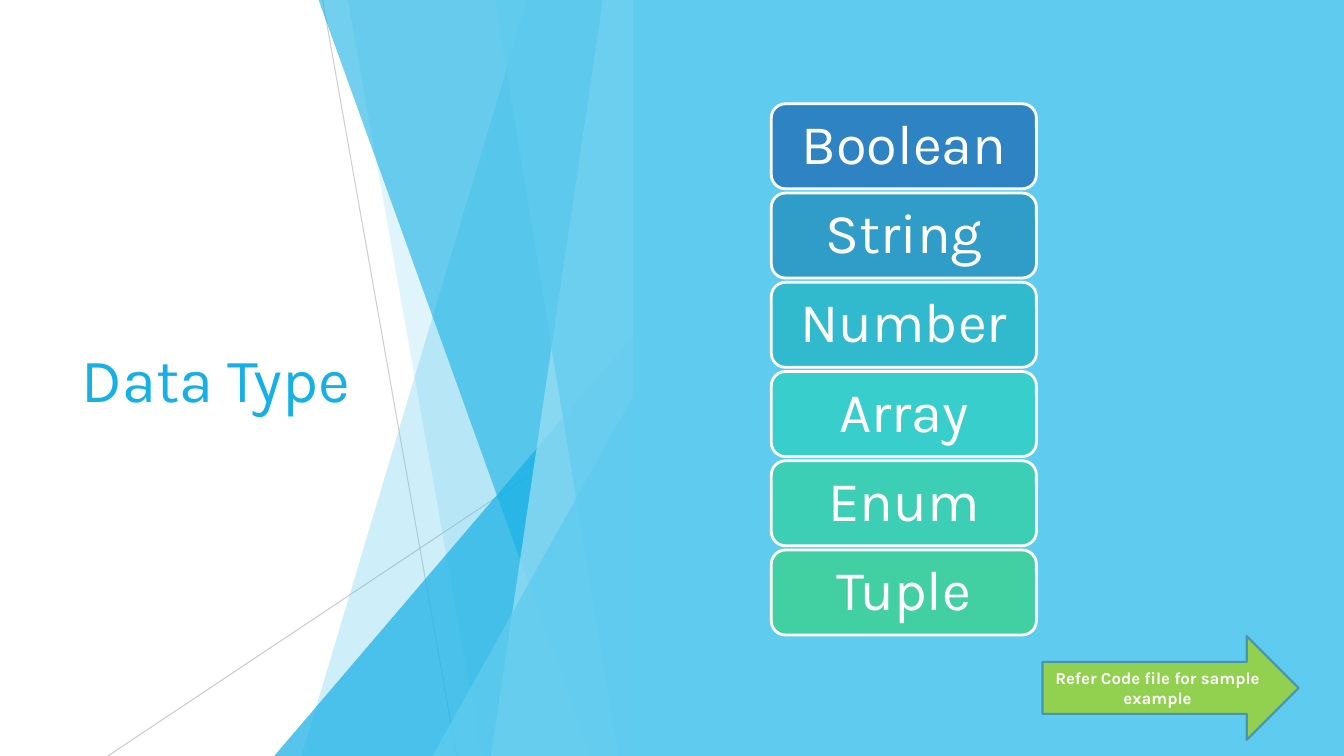
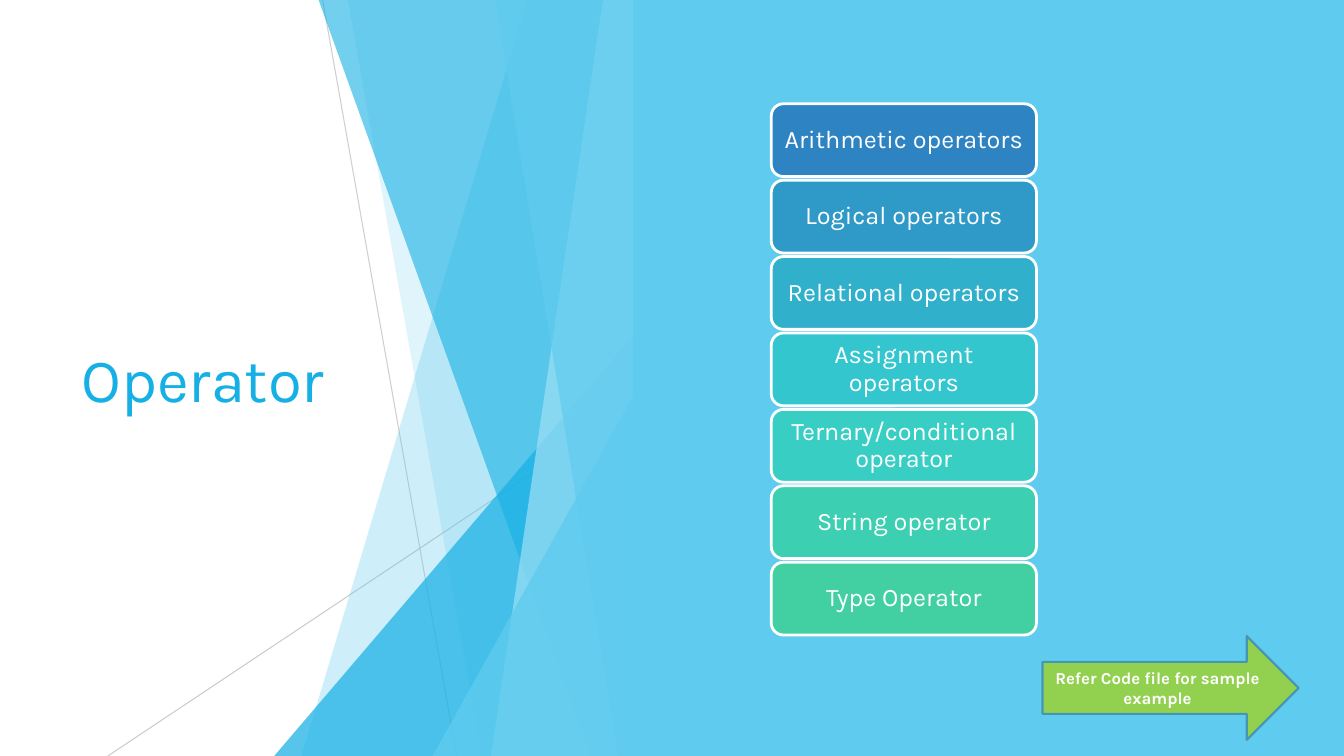
from pptx import Presentation
from pptx.dml.color import RGBColor
from pptx.enum.shapes import MSO_CONNECTOR, MSO_SHAPE
from pptx.enum.text import MSO_ANCHOR, PP_ALIGN
from pptx.oxml.ns import qn
from pptx.oxml.xmlchemy import OxmlElement
from pptx.util import Inches, Pt

RECT = MSO_SHAPE.RECTANGLE
ROUNDED = MSO_SHAPE.ROUNDED_RECTANGLE
TRIANGLE = MSO_SHAPE.ISOSCELES_TRIANGLE
ARROW = MSO_SHAPE.RIGHT_ARROW
STRAIGHT = MSO_CONNECTOR.STRAIGHT
LEFT, CENTER = PP_ALIGN.LEFT, PP_ALIGN.CENTER
MIDDLE = MSO_ANCHOR.MIDDLE

FONT = "Karla"
COLORS = {
    "white": "FFFFFF",
    "sky": "5FCBEF",
    "blue": "17B0E4",
    "pale": "9FE0F5",
    "gray": "BFBFBF",
    "green": "92D050",
    "arrow_line": "4696B1",
}

WIDTH, HEIGHT = 13.33, 7.5
PANEL_X = 6.28  # left edge of the blue panel, where every facet ends

# start, end, opacity in percent
HAIRLINES = [
    ((3.2, 0), (4.53, HEIGHT), 75),
    ((PANEL_X, 4.03), (1.07, HEIGHT), 80),
]
# x at the top, y at the top, x at the bottom, colour, opacity in percent
FACETS = [
    (5.23, 0, 2.99, "sky", 30),
    (3.45, 0, 4.78, "sky", 20),
    (PANEL_X, 3.33, 2.72, "blue", 72),
    (3.16, 0, 5.86, "blue", 60),
    (5.98, 0, 4.87, "pale", 70),
    (4.91, 0, 6.13, "sky", 65),
    (PANEL_X, 3.93, 4.29, "sky", 80),
]

STACK_X, STACK_W = 7.65, 2.63
STACK_TOP, STACK_BOTTOM = 1.03, 6.3
GAP_RATIO = 0.05  # gap between boxes as a share of box height

SLIDES = [
    {
        "title": "Data Type", "size": 40, "insets": (0.17, 0.08),
        "boxes": [
            ("Boolean", "2E83C3"),
            ("String", "309DC8"),
            ("Number", "31B9CD"),
            ("Array", "37CECB"),
            ("Enum", "3CCFB6"),
            ("Tuple", "42D0A2"),
        ],
    },
    {
        "title": "Operator", "size": 18, "insets": (0.07, 0.04),
        "boxes": [
            ("Arithmetic operators", "2E83C3"),
            ("Logical operators", "2F99C7"),
            ("Relational operators", "31B0CB"),
            ("Assignment operators", "34C6CE"),
            ("Ternary/conditional operator", "39CEC4"),
            ("String operator", "3DCFB2"),
            ("Type Operator", "42D0A2"),
        ],
    },
]


def paint(sp, fill, opacity=100, line=None, width=0):
    """Give a shape a flat fill, an optional outline and no shadow."""
    sp.shadow.inherit = False
    sp.fill.solid()
    sp.fill.fore_color.rgb = RGBColor.from_string(fill)
    if opacity < 100:
        alpha = OxmlElement("a:alpha")
        alpha.set("val", str(opacity * 1000))
        next(sp.element.iter(qn("a:srgbClr"))).append(alpha)
    if line:
        sp.line.color.rgb = RGBColor.from_string(line)
        sp.line.width = Pt(width)
    else:
        sp.line.fill.background()


def write(sp, text, size, color="white", bold=False, align=CENTER,
          insets=(0.1, 0.05), spacing=1.0):
    tf = sp.text_frame
    tf.word_wrap = True
    tf.vertical_anchor = MIDDLE
    tf.margin_left = tf.margin_right = Inches(insets[0])
    tf.margin_top = tf.margin_bottom = Inches(insets[1])
    p = tf.paragraphs[0]
    p.alignment = align
    p.line_spacing = spacing
    r = p.add_run()
    r.text = text
    r.font.name = FONT
    r.font.size = Pt(size)
    r.font.bold = bold
    r.font.color.rgb = RGBColor.from_string(COLORS[color])


prs = Presentation()
prs.slide_width, prs.slide_height = Inches(WIDTH), Inches(HEIGHT)

for content in SLIDES:
    s = prs.slides.add_slide(prs.slide_layouts[6])
    s.background.fill.solid()
    s.background.fill.fore_color.rgb = RGBColor.from_string(COLORS["white"])

    for start, end, opacity in HAIRLINES:
        hairline = s.shapes.add_connector(
            STRAIGHT, *[Inches(v) for v in start + end])
        hairline.line.color.rgb = RGBColor.from_string(COLORS["gray"])
        hairline.line.width = Pt(0.75)
        alpha = OxmlElement("a:alpha")
        alpha.set("val", str(opacity * 1000))
        next(hairline.element.iter(qn("a:srgbClr"))).append(alpha)
        hairline.element.spPr.append(OxmlElement("a:effectLst"))

    for top_x, top_y, bottom_x, color, opacity in FACETS:
        if top_x == PANEL_X:
            facet = s.shapes.add_shape(
                TRIANGLE, Inches(bottom_x), Inches(top_y),
                Inches(PANEL_X - bottom_x), Inches(HEIGHT - top_y))
            facet.adjustments[0] = 1
        else:
            outline = s.shapes.build_freeform(Inches(top_x), Inches(top_y))
            corners = [(PANEL_X, top_y), (PANEL_X, HEIGHT), (bottom_x, HEIGHT)]
            outline.add_line_segments([(Inches(x), Inches(y)) for x, y in corners])
            facet = outline.convert_to_shape()
        paint(facet, COLORS[color], opacity)

    title = s.shapes.add_textbox(Inches(0.71), Inches(1.51), Inches(3.88), Inches(4.48))
    write(title, content["title"], 44, color="blue", align=LEFT)

    panel = s.shapes.add_shape(
        RECT, Inches(PANEL_X), 0, Inches(WIDTH - PANEL_X), Inches(HEIGHT))
    paint(panel, COLORS["sky"])

    count = len(content["boxes"])
    box_h = (STACK_BOTTOM - STACK_TOP) / (count + (count - 1) * GAP_RATIO)
    for i, (label, fill) in enumerate(content["boxes"]):
        y = STACK_TOP + i * box_h * (1 + GAP_RATIO)
        box = s.shapes.add_shape(
            ROUNDED, Inches(STACK_X), Inches(y), Inches(STACK_W), Inches(box_h))
        paint(box, fill, line=COLORS["white"], width=2)
        write(box, label, content["size"], insets=content["insets"], spacing=0.9)

    arrow = s.shapes.add_shape(
        ARROW, Inches(10.34), Inches(6.31), Inches(2.54), Inches(1.03))
    paint(arrow, COLORS["green"], line=COLORS["arrow_line"], width=1.5)
    write(arrow, "Refer Code file for sample example", 12, bold=True)

prs.save("out.pptx")
